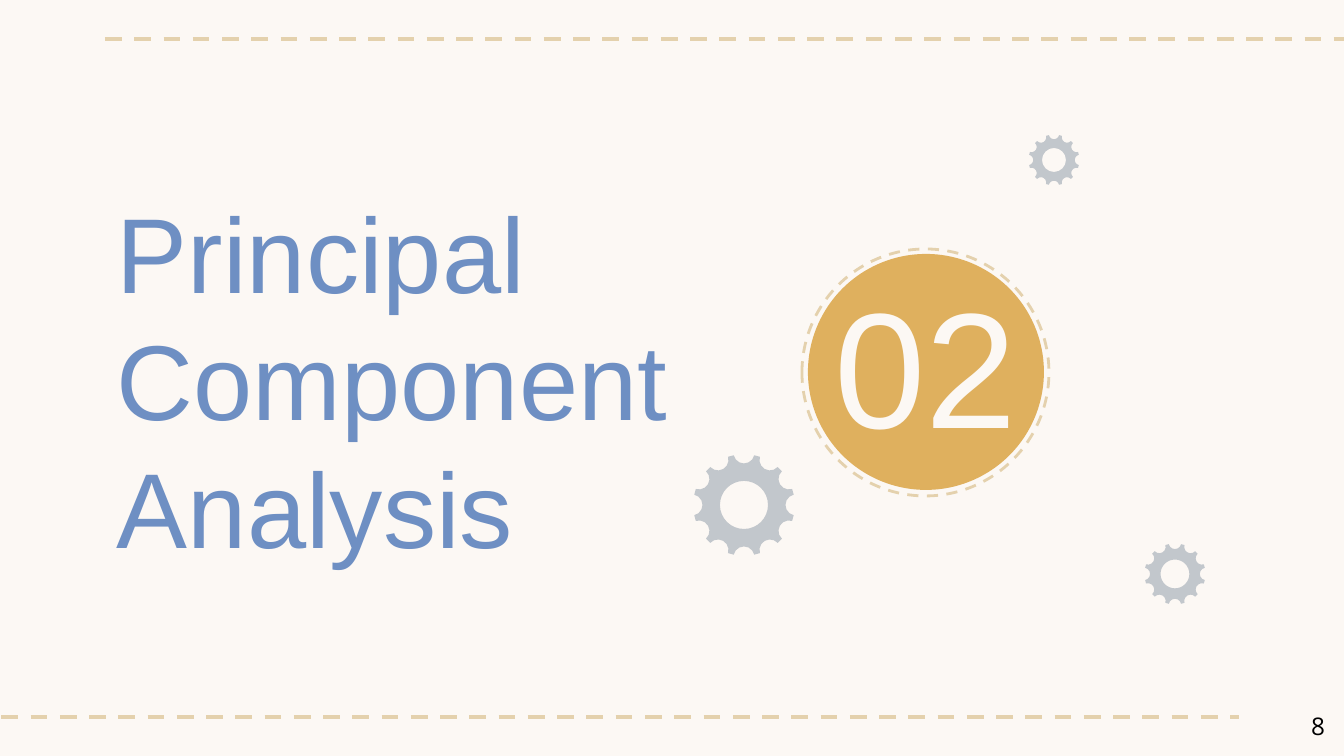
from math import cos, pi, sin, tan

from lxml import etree
from pptx import Presentation
from pptx.dml.color import RGBColor
from pptx.enum.dml import MSO_LINE
from pptx.enum.shapes import MSO_CONNECTOR, MSO_SHAPE
from pptx.enum.text import MSO_ANCHOR, MSO_AUTO_SIZE, PP_ALIGN
from pptx.oxml.ns import qn
from pptx.util import Pt

PX = 9144000 / 1344
CREAM = RGBColor(0xFC, 0xF8, 0xF4)
SAND = RGBColor(0xE4, 0xD1, 0xAD)
GOLD = RGBColor(0xDF, 0xB0, 0x5E)
BLUE = RGBColor(0x6E, 0x8F, 0xC3)
GREY = RGBColor(0xC2, 0xC7, 0xCC)
BLACK = RGBColor(0, 0, 0)
DASH = MSO_LINE.DASH
STRAIGHT = MSO_CONNECTOR.STRAIGHT
OVAL = MSO_SHAPE.OVAL
TOP, MIDDLE, BOTTOM = MSO_ANCHOR.TOP, MSO_ANCHOR.MIDDLE, MSO_ANCHOR.BOTTOM
LEFT, CENTER, RIGHT = PP_ALIGN.LEFT, PP_ALIGN.CENTER, PP_ALIGN.RIGHT
NO_FIT = MSO_AUTO_SIZE.NONE
TEETH = 12


def px(*lengths):
    """Turn pixel lengths into EMU."""
    return [round(length * PX) for length in lengths]


def write(box, text, size, color, font="Arial", align=LEFT, anchor=TOP):
    """Put one formatted paragraph in a box."""
    frame = box.text_frame
    frame.word_wrap = True
    frame.auto_size = NO_FIT
    frame.vertical_anchor = anchor
    inset = px(13)[0]
    frame.margin_left = frame.margin_right = inset
    frame.margin_top = frame.margin_bottom = inset
    para = frame.paragraphs[0]
    para.alignment = align
    span = para.add_run()
    span.text = text
    span.font.size = Pt(size)
    span.font.name = font
    span.font.color.rgb = color


def add_title(page, text, left, top, width, height, **style):
    """Move and format the title placeholder."""
    title = page.shapes.title
    title.left, title.top, title.width, title.height = px(left, top, width, height)
    write(title, text, **style)


def add_text(page, text, left, top, width, height, **style):
    """Add a text box."""
    write(page.shapes.add_textbox(*px(left, top, width, height)), text, **style)


def dash(line, width):
    """Give an outline the sand-coloured dashes."""
    line.color.rgb = SAND
    line.width = Pt(width)
    line.dash_style = DASH


def add_rule(page, start, end, y):
    """Add a horizontal dashed line."""
    rule = page.shapes.add_connector(STRAIGHT, *px(start, y, end, y))
    dash(rule.line, 2.25)
    etree.SubElement(rule._element.spPr, qn("a:effectLst"))


def paint(shape, color):
    """Fill a shape flatly, without outline or shadow."""
    shape.shadow.inherit = False
    shape.fill.solid()
    shape.fill.fore_color.rgb = color
    shape.line.fill.background()


def add_disc(page, left, top, size):
    """Add the filled circle behind the section number."""
    paint(page.shapes.add_shape(OVAL, *px(left, top, size, size)), GOLD)


def add_ring(page, left, top, size):
    """Add the dashed circle around the disc."""
    ring = page.shapes.add_shape(OVAL, *px(left, top, size, size))
    ring.shadow.inherit = False
    ring.fill.background()
    dash(ring.line, 1.5)


def arc(x, y, radius, start, end, parts):
    """List the start of an arc and three Bezier points for each of its parts."""
    step = (end - start) / parts
    pull = 4 / 3 * tan(step / 4)
    points = [(x + radius * cos(start), y + radius * sin(start))]
    for part in range(parts):
        a, b = start + step * part, start + step * (part + 1)
        points += [(x + radius * (cos(a) - pull * sin(a)), y + radius * (sin(a) + pull * cos(a))),
                   (x + radius * (cos(b) + pull * sin(b)), y + radius * (sin(b) - pull * cos(b))),
                   (x + radius * cos(b), y + radius * sin(b))]
    return points


def gear_rim():
    """List the Bezier points of a unit gear with round notches between its teeth."""
    points = []
    for tooth in range(TEETH):
        angle = 2 * pi * tooth / TEETH
        middle = angle + pi
        notch = arc(1.04 * cos(angle), 1.04 * sin(angle), 0.21,
                    middle + 0.43 * pi, middle - 0.43 * pi, 3)
        if points:
            points += [points[-1], notch[0]]
        points += notch
    return points + [points[-1], points[0], points[0]]


def curve(shape):
    """Join each three straight segments of a freeform into one Bezier curve."""
    for outline in shape._element.iter(qn("a:path")):
        lines = outline.findall(qn("a:lnTo"))
        for first, second, third in zip(lines[::3], lines[1::3], lines[2::3]):
            first.tag = qn("a:cubicBezTo")
            for line in (second, third):
                first.append(line[0])
                outline.remove(line)


def add_gear(page, x, y, radius):
    """Add a gear around a centre point."""
    rim, hole = [[px(x + radius * across, y + radius * down) for across, down in outline]
                 for outline in (gear_rim(), arc(0, 0, 0.48, 2 * pi, 0, 4))]
    builder = page.shapes.build_freeform(*rim[0])
    builder.add_line_segments(rim[1:], close=True)
    builder.move_to(*hole[0])
    builder.add_line_segments(hole[1:], close=True)
    gear = builder.convert_to_shape()
    curve(gear)
    paint(gear, GREY)


def main():
    """Build the section slide and save it."""
    deck = Presentation()
    deck.slide_width, deck.slide_height = px(1344, 756)
    page = deck.slides.add_slide(deck.slide_layouts[5])
    page.background.fill.solid()
    page.background.fill.fore_color.rgb = CREAM

    add_rule(page, 105, 1372, 39)
    add_rule(page, -28, 1239, 717)
    add_ring(page, 802, 249, 247)
    add_disc(page, 808, 254, 236)
    add_title(page, "Principal Component Analysis", 104, 173, 689, 410,
              size=57, color=BLUE, anchor=BOTTOM)
    add_text(page, "02", 793, 230, 265, 266,
             size=88, color=CREAM, align=CENTER, anchor=MIDDLE)
    for x, y, radius in ((744, 505, 50), (1054, 160, 25), (1175, 574, 30)):
        add_gear(page, x, y, radius)
    add_text(page, "8", 1257, 698, 81, 57,
             size=13, color=BLACK, font="Open Sans", align=RIGHT)
    deck.save("out.pptx")


if __name__ == "__main__":
    main()
